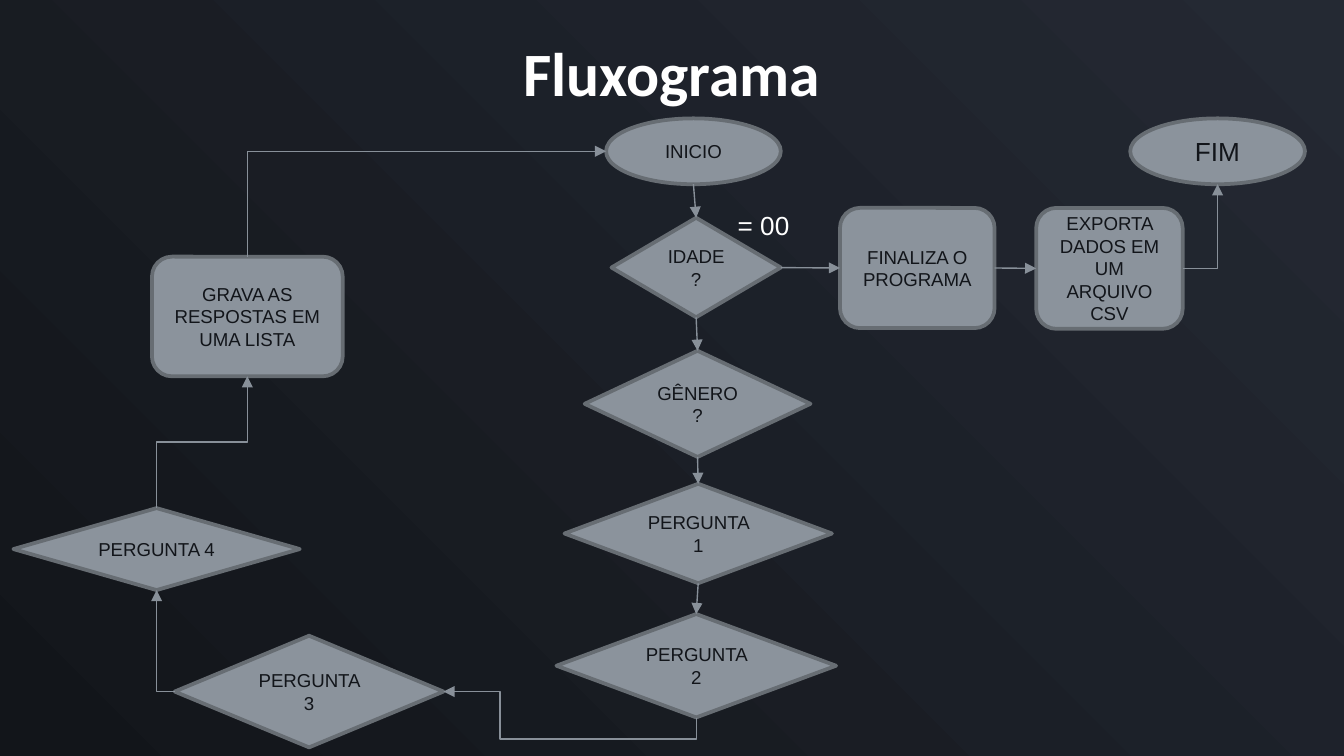
from lxml.etree import SubElement
from pptx import Presentation
from pptx.dml.color import RGBColor
from pptx.enum.shapes import MSO_CONNECTOR, MSO_SHAPE
from pptx.enum.text import MSO_ANCHOR, MSO_AUTO_SIZE, PP_ALIGN
from pptx.oxml.ns import qn
from pptx.util import Pt

COLORS = {
    "back_dark": "12151A",
    "back_light": "242933",
    "node": "8B939C",
    "border": "676D73",
    "arrow": "889099",
    "ink": "12151A",
    "white": "FFFFFF",
}
SIDES = ("top", "left", "bottom", "right")


def color(name):
    return RGBColor.from_string(COLORS[name])


def write(frame, text, size=10, font="Arial", ink="ink", bold=False,
          align=PP_ALIGN.CENTER, anchor=MSO_ANCHOR.MIDDLE, wrap=True):
    frame.word_wrap = wrap
    frame.vertical_anchor = anchor
    para = frame.paragraphs[0]
    para.alignment = align
    span = para.add_run()
    span.text = text
    span.font.size = Pt(size)
    span.font.name = font
    span.font.bold = bold
    span.font.color.rgb = color(ink)


def add_node(page, kind, text, box, size=10):
    node = page.shapes.add_shape(kind, *(Pt(value) for value in box))
    node.shadow.inherit = False
    node.fill.solid()
    node.fill.fore_color.rgb = color("node")
    node.line.color.rgb = color("border")
    node.line.width = Pt(2)
    write(node.text_frame, text, size=size)
    return node


def side_point(node, side):
    """Middle of one side of a node."""
    x = {"left": 0, "right": node.width}.get(side, node.width // 2)
    y = {"top": 0, "bottom": node.height}.get(side, node.height // 2)
    return node.left + x, node.top + y


def add_arrow(page, start, start_side, end, end_side,
              bend=None, turn=0, flips="", adjust=()):
    """Arrow between two node sides; bend names the elbow preset."""
    begin, finish = side_point(start, start_side), side_point(end, end_side)
    arrow = page.shapes.add_connector(MSO_CONNECTOR.STRAIGHT, *begin, *finish)
    arrow.line.color.rgb = color("arrow")
    arrow.line.width = Pt(0.75)
    SubElement(arrow.line._get_or_add_ln(), qn("a:tailEnd"), type="triangle")
    properties = arrow._element.spPr
    SubElement(properties, qn("a:effectLst"))

    # Glue both ends; an ellipse has eight sites, the others four
    glue = arrow._element.find(".//" + qn("p:cNvCxnSpPr"))
    for tag, node, side in (("a:stCxn", start, start_side),
                            ("a:endCxn", end, end_side)):
        step = 2 if node.auto_shape_type == MSO_SHAPE.OVAL else 1
        SubElement(glue, qn(tag), id=str(node.shape_id),
                   idx=str(SIDES.index(side) * step))

    if bend:
        # A quarter turn swaps width and height about the centre
        width, height = arrow.width, arrow.height
        if turn == 90:
            arrow.left += (width - height) // 2
            arrow.top += (height - width) // 2
            arrow.width, arrow.height = height, width
        arrow.rotation = turn
        frame = properties.find(qn("a:xfrm"))
        for axis in "HV":
            frame.set("flip" + axis, str(int(axis in flips)))
        shape = properties.find(qn("a:prstGeom"))
        shape.set("prst", bend)
        guides = shape.find(qn("a:avLst"))
        for number, value in enumerate(adjust, 1):
            SubElement(guides, qn("a:gd"), name=f"adj{number}",
                       fmla=f"val {value}")


def draw_title(page, box):
    title = page.shapes.title
    title.left, title.top, title.width, title.height = map(Pt, box)
    title.text_frame.auto_size = MSO_AUTO_SIZE.NONE
    write(title.text_frame, "Fluxograma", size=33, font="Calibri",
          ink="white", bold=True)


def draw_questions(page, left, top):
    """Centre column: start and the questions asked in turn."""
    start = add_node(page, MSO_SHAPE.OVAL, "INICIO",
                     (left + 26.6, top, 93.6, 35.3))
    questions = [
        ("IDADE?", 29.5, 53.3, 90.7, 53.3),
        ("GÊNERO?", 15.1, 124.5, 121, 56.9),
        ("PERGUNTA 1", 4.3, 195.8, 143.3, 53.3),
        ("PERGUNTA 2", 0, 265.6, 149.8, 55.4),
    ]
    column = [start] + [
        add_node(page, MSO_SHAPE.DIAMOND, text,
                 (left + x, top + y, width, height))
        for text, x, y, width, height in questions
    ]
    for above, below in zip(column, column[1:]):
        add_arrow(page, above, "bottom", below, "top")
    return column


def draw_exit(page, left, top, age):
    """Right branch: stop, export and end."""
    label = page.shapes.add_textbox(Pt(left), Pt(top + 45.3),
                                    Pt(42.5), Pt(24.5))
    label.text_frame.auto_size = MSO_AUTO_SIZE.SHAPE_TO_FIT_TEXT
    write(label.text_frame, "= 00", size=14, ink="white",
          align=PP_ALIGN.LEFT, anchor=MSO_ANCHOR.TOP, wrap=False)
    finish = add_node(page, MSO_SHAPE.ROUNDED_RECTANGLE, "FINALIZA O PROGRAMA",
                      (left + 61.9, top + 48, 82.8, 64.4))
    export = add_node(page, MSO_SHAPE.ROUNDED_RECTANGLE,
                      "EXPORTA DADOS EM UM ARQUIVO CSV",
                      (left + 167, top + 48, 78.5, 64.8))
    end = add_node(page, MSO_SHAPE.OVAL, "FIM",
                   (left + 217.4, top, 93.6, 35.3), size=14)
    add_arrow(page, age, "right", finish, "left")
    add_arrow(page, finish, "right", export, "left")
    add_arrow(page, export, "right", end, "bottom",
              bend="bentConnector2", flips="V")


def draw_return(page, left, top, start, second):
    """Left loop: last questions, saving and back to the start."""
    third = add_node(page, MSO_SHAPE.DIAMOND, "PERGUNTA 3",
                     (left + 86.4, top + 203.1, 144, 59.8))
    fourth = add_node(page, MSO_SHAPE.DIAMOND, "PERGUNTA 4",
                      (left, top + 134.7, 153.4, 43.9))
    save = add_node(page, MSO_SHAPE.ROUNDED_RECTANGLE,
                    "GRAVA AS RESPOSTAS EM UMA LISTA",
                    (left + 74.2, top, 102.2, 64.1))
    add_arrow(page, second, "bottom", third, "right", bend="bentConnector4",
              turn=90, flips="H", adjust=(-83400, 77700))
    add_arrow(page, third, "left", fourth, "bottom",
              bend="bentConnector2", turn=180)
    add_arrow(page, fourth, "top", save, "bottom",
              bend="bentConnector3", turn=90, flips="HV")
    add_arrow(page, save, "top", start, "left",
              bend="bentConnector2", turn=90, flips="HV")


def main():
    deck = Presentation()
    deck.slide_width, deck.slide_height = Pt(720), Pt(405)
    page = deck.slides.add_slide(deck.slide_layouts[5])

    # Background, dark at bottom left
    fill = page.background.fill
    fill.gradient()
    fill.gradient_angle = 45
    for stop, name in zip(fill.gradient_stops, ("back_dark", "back_light")):
        stop.color.rgb = color(name)

    draw_title(page, (183.6, 6.5, 352.8, 64.1))
    column = draw_questions(page, 298.1, 63.4)
    draw_exit(page, 388.1, 63.4, age=column[1])
    draw_return(page, 7.2, 137.5, start=column[0], second=column[-1])
    deck.save("out.pptx")


if __name__ == "__main__":
    main()
